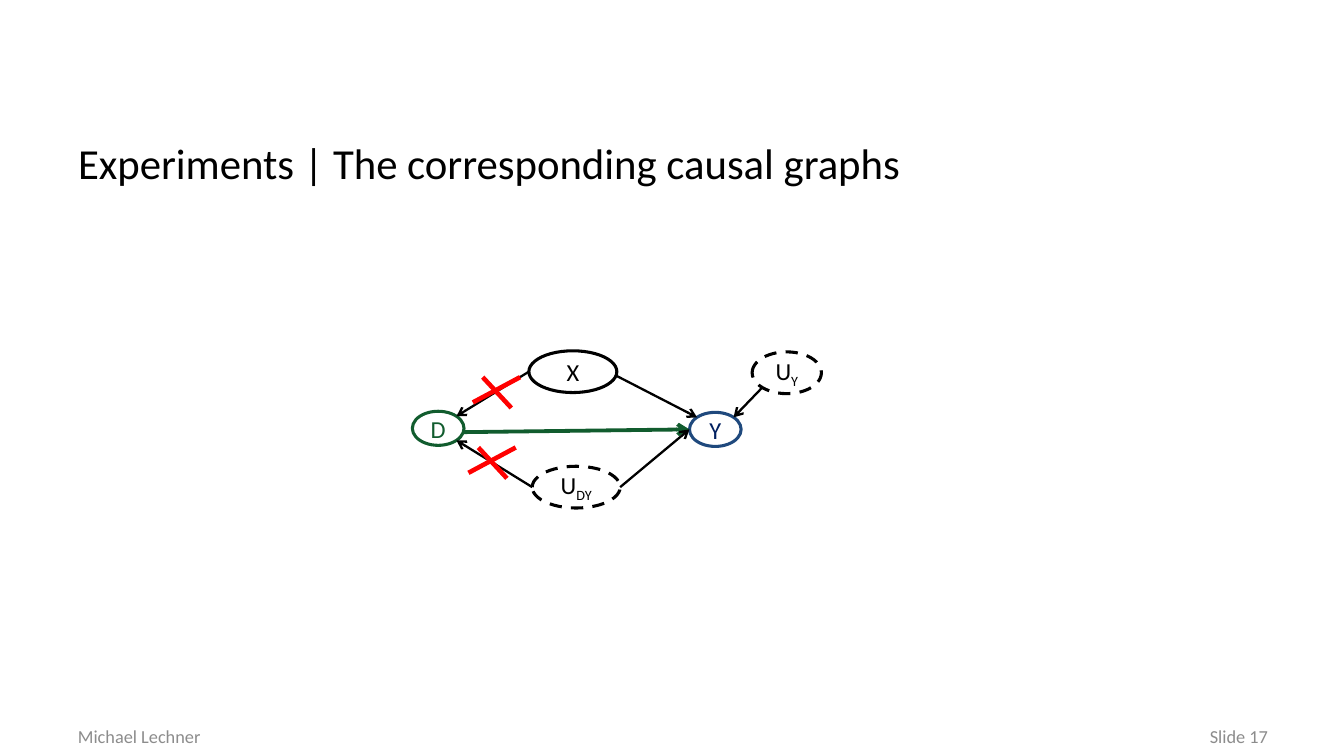
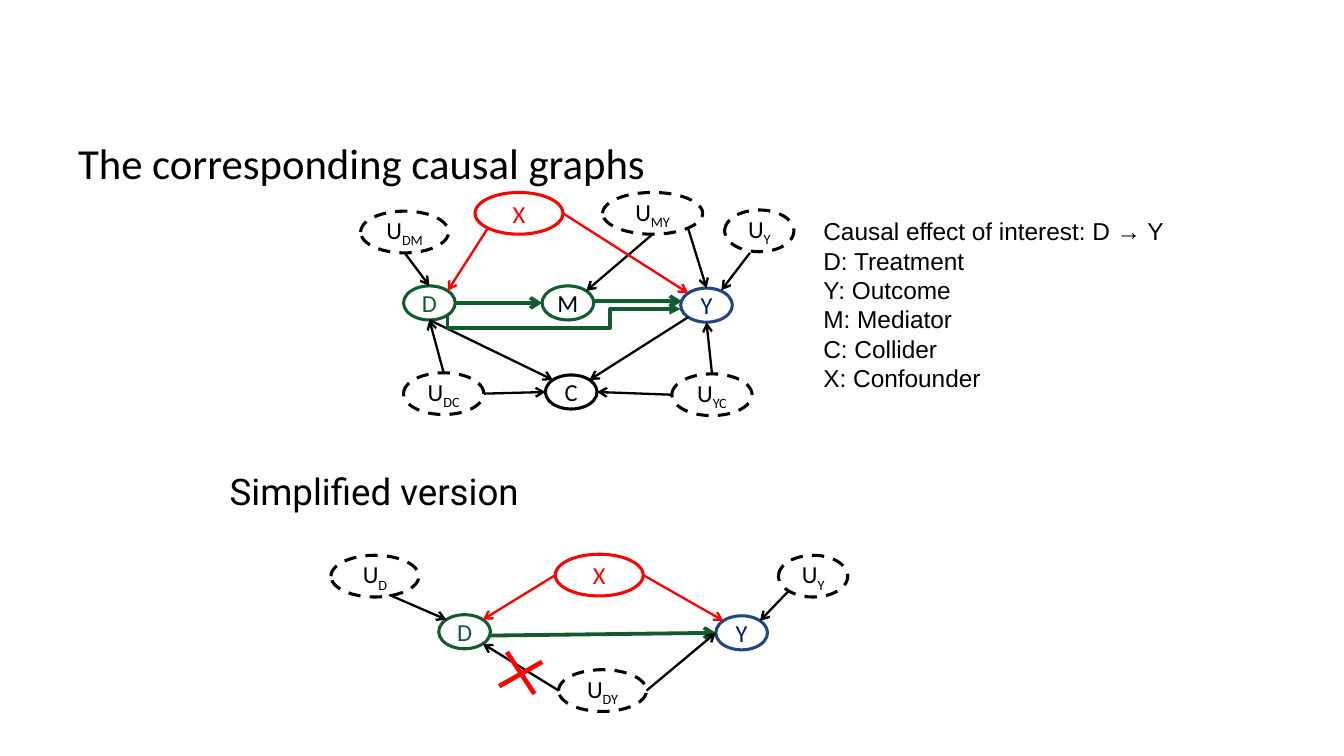
import math

import pptx
import pptx.dml.color
import pptx.enum.dml
import pptx.enum.shapes
import pptx.enum.text
import pptx.oxml.ns
import pptx.util
from lxml import etree

PX = 9144
SLIDE_SIZE = pptx.util.Pt(880), pptx.util.Pt(495)
BLACK, WHITE, GRAY = "000000", "FFFFFF", "8C8C8C"
GREEN, BLUE, NAVY, RED = "115C2E", "1F497D", "002060", "FF0000"
ALIGN = pptx.enum.text.PP_ALIGN
ANCHOR = pptx.enum.text.MSO_ANCHOR

STYLES = {
    "treatment": (GREEN, GREEN, False),
    "mediator": (GREEN, BLACK, False),
    "outcome": (BLUE, NAVY, False),
    "observed": (BLACK, BLACK, False),
    "confounder": (RED, RED, False),
    "unobserved": (BLACK, BLACK, True),
}
EDGES = {
    "effect": (GREEN, 2.5, "arrow"),
    "direct": (GREEN, 2.5, "triangle"),
    "plain": (BLACK, 1.5, "arrow"),
    "confounding": (RED, 1.5, "arrow"),
    "cross": (RED, 3, None),
}
DIRECTIONS = {"e": 0, "se": 45, "s": 90, "sw": 135, "w": 180, "nw": 225, "n": 270, "ne": 315}

FOOTERS = [
    ("Slide 17", (888, 651, 275, 37), ALIGN.RIGHT),
    ("Michael Lechner", (61, 651, 412, 37), ALIGN.LEFT),
]
LEGEND = [
    "Causal effect of interest: D → Y",
    "D: Treatment",
    "Y: Outcome",
    "M: Mediator",
    "C: Collider",
    "X: Confounder",
]

SIMPLE_NODES = [
    ("D", (375, 374, 47, 31), "treatment"),
    ("Y", (627, 375, 47, 31), "outcome"),
    ("U_Y", (684, 320, 63, 38), "unobserved"),
    ("U_DY", (484, 424, 80, 38), "unobserved"),
]
SIMPLE_EDGES = [
    ("U_Y.sw", "Y.ne", "plain"),
    ((422, 393), "Y.w", "effect"),
    ("U_DY.e", "Y.w", "plain"),
    ("U_DY.w", "D.se", "plain"),
]
X_BOX = (481, 319, 80, 38)

EXPERIMENT = {
    "offset": (0, 0),
    "nodes": SIMPLE_NODES + [("X", X_BOX, "observed")],
    "edges": SIMPLE_EDGES + [
        ("X.w", "D.ne", "plain"),
        ((561, 342), "Y.nw", "plain"),
        ((435, 407), (461, 435), "cross"),
        ((426, 430), (469, 407), "cross"),
        ((439, 343), (465, 371), "cross"),
        ((430, 366), (473, 343), "cross"),
    ],
}
SIMPLIFIED = {
    "offset": (24, 185),
    "nodes": SIMPLE_NODES + [("X", X_BOX, "confounder"), ("U_D", (277, 320, 80, 38), "unobserved")],
    "edges": SIMPLE_EDGES + [
        ("X.w", "D.ne", "confounding"),
        ("X.e", "Y.nw", "confounding"),
        ((330, 356), "D.nw", "plain"),
        ((437, 408), (462, 446), "cross"),
        ((430, 439), (469, 417), "cross"),
    ],
}
DETAILED = {
    "offset": (0, 0),
    "nodes": [
        ("D", (367, 260, 47, 31), "treatment"),
        ("M", (493, 260, 47, 31), "mediator"),
        ("Y", (619, 262, 47, 31), "outcome"),
        ("U_DM", (328, 192, 80, 38), "unobserved"),
        ("U_MY", (548, 175, 91, 38), "unobserved"),
        ("U_Y", (659, 191, 63, 38), "unobserved"),
        ("C", (496, 341, 47, 31), "observed"),
        ("U_YC", (611, 340, 73, 38), "unobserved"),
        ("U_DC", (367, 339, 73, 38), "unobserved"),
        ("X", (432, 175, 80, 38), "confounder"),
    ],
    "edges": [
        ("D.e", "M.w", "effect"),
        ((541, 274), (620, 274), "effect"),
        ("U_DM.s", "D.n", "plain"),
        ("U_MY.s", "M.ne", "plain"),
        ("U_MY.se", "Y.n", "plain"),
        ((682, 230), (656, 264), "plain"),
        ("D.s", "C.nw", "plain"),
        ("Y.sw", "C.ne", "plain"),
        ("U_YC.w", "C.e", "plain"),
        ("U_YC.n", "Y.s", "plain"),
        ("U_DC.n", "D.s", "plain"),
        ("U_DC.e", "C.w", "plain"),
        ("X.e", "Y.nw", "confounding"),
        ("X.sw", "D.ne", "confounding"),
    ],
}
DIRECT_EFFECT = [(407, 287), (407, 298), (555, 298), (555, 281), (619, 281)]


def emu(*lengths):
    return [round(length * PX) for length in lengths]


def color(value):
    return pptx.dml.color.RGBColor.from_string(value)


def write_text(shape, lines, *, size=16, font="Calibri", fill=BLACK,
               align=ALIGN.LEFT, anchor=ANCHOR.MIDDLE, wrap=True, inset=10):
    frame = shape.text_frame
    frame.word_wrap = wrap
    frame.vertical_anchor = anchor
    frame.margin_left, frame.margin_right = emu(inset, inset)
    frame.margin_top, frame.margin_bottom = emu(inset / 2, inset / 2)
    for index, line in enumerate(lines):
        paragraph = frame.add_paragraph() if index else frame.paragraphs[0]
        paragraph.alignment = align
        base, _, subscript = line.partition("_")
        for text in filter(None, (base, subscript)):
            run = paragraph.add_run()
            run.text = text
            run.font.size = pptx.util.Pt(size)
            run.font.name = font
            run.font.color.rgb = color(fill)
        if subscript:
            run._r.get_or_add_rPr().set("baseline", "-25000")


def add_text(slide, lines, box, **text_format):
    write_text(slide.shapes.add_textbox(*emu(*box)), lines, **text_format)


def format_line(shape, stroke, width, arrow=None):
    shape.line.color.rgb = color(stroke)
    shape.line.width = pptx.util.Pt(width)
    if arrow:
        tail = etree.SubElement(shape.line._get_or_add_ln(), pptx.oxml.ns.qn("a:tailEnd"))
        tail.set("type", arrow)


def add_edge(slide, start, end, kind):
    connector = slide.shapes.add_connector(
        pptx.enum.shapes.MSO_CONNECTOR.STRAIGHT, *emu(*start, *end))
    format_line(connector, *EDGES[kind])
    etree.SubElement(connector._element.spPr, pptx.oxml.ns.qn("a:effectLst"))


def add_node(slide, label, box, style):
    stroke, text_color, dashed = STYLES[style]
    node = slide.shapes.add_shape(pptx.enum.shapes.MSO_SHAPE.OVAL, *emu(*box))
    node.shadow.inherit = False
    node.fill.solid()
    node.fill.fore_color.rgb = color(WHITE)
    format_line(node, stroke, 2)
    if dashed:
        node.line.dash_style = pptx.enum.dml.MSO_LINE.DASH
    write_text(node, [label], fill=text_color, align=ALIGN.CENTER, wrap=False, inset=0)


def add_graph(slide, graph):
    shift_x, shift_y = graph["offset"]
    boxes = {}
    for label, (left, top, width, height), style in graph["nodes"]:
        boxes[label] = (left + shift_x, top + shift_y, width, height)
        add_node(slide, label, boxes[label], style)

    def locate(end):
        if isinstance(end, tuple):
            return end[0] + shift_x, end[1] + shift_y
        label, direction = end.split(".")
        left, top, width, height = boxes[label]
        angle = math.radians(DIRECTIONS[direction])
        return (left + width / 2 * (1 + math.cos(angle)),
                top + height / 2 * (1 + math.sin(angle)))

    for start, end, kind in graph["edges"]:
        add_edge(slide, locate(start), locate(end), kind)


def add_bent_arrow(slide, points):
    builder = slide.shapes.build_freeform(*points[0], scale=PX)
    builder.add_line_segments(points[1:], close=False)
    arrow = builder.convert_to_shape()
    arrow.shadow.inherit = False
    arrow.fill.background()
    format_line(arrow, *EDGES["direct"])


def add_slide(presentation, title, width):
    slide = presentation.slides.add_slide(presentation.slide_layouts[5])
    shape = slide.shapes.title
    shape.left, shape.top, shape.width, shape.height = emu(61, 116, width, 63)
    write_text(shape, [title], size=28)
    return slide


def main():
    presentation = pptx.Presentation()
    presentation.slide_width, presentation.slide_height = SLIDE_SIZE

    slide = add_slide(presentation, "Experiments | The corresponding causal graphs", 1141)
    for text, box, align in FOOTERS:
        add_text(slide, [text], box, size=12, fill=GRAY, align=align)
    add_graph(slide, EXPERIMENT)

    slide = add_slide(presentation, "The corresponding causal graphs", 1102)
    add_text(slide, ["Simplified version"], (199, 423, 400, 46), size=24, font="Roboto")
    add_text(slide, LEGEND, (739, 192, 334, 172), font="Arial", anchor=ANCHOR.TOP, wrap=False)
    add_graph(slide, DETAILED)
    add_bent_arrow(slide, DIRECT_EFFECT)
    add_graph(slide, SIMPLIFIED)

    presentation.save("out.pptx")


if __name__ == "__main__":
    main()
